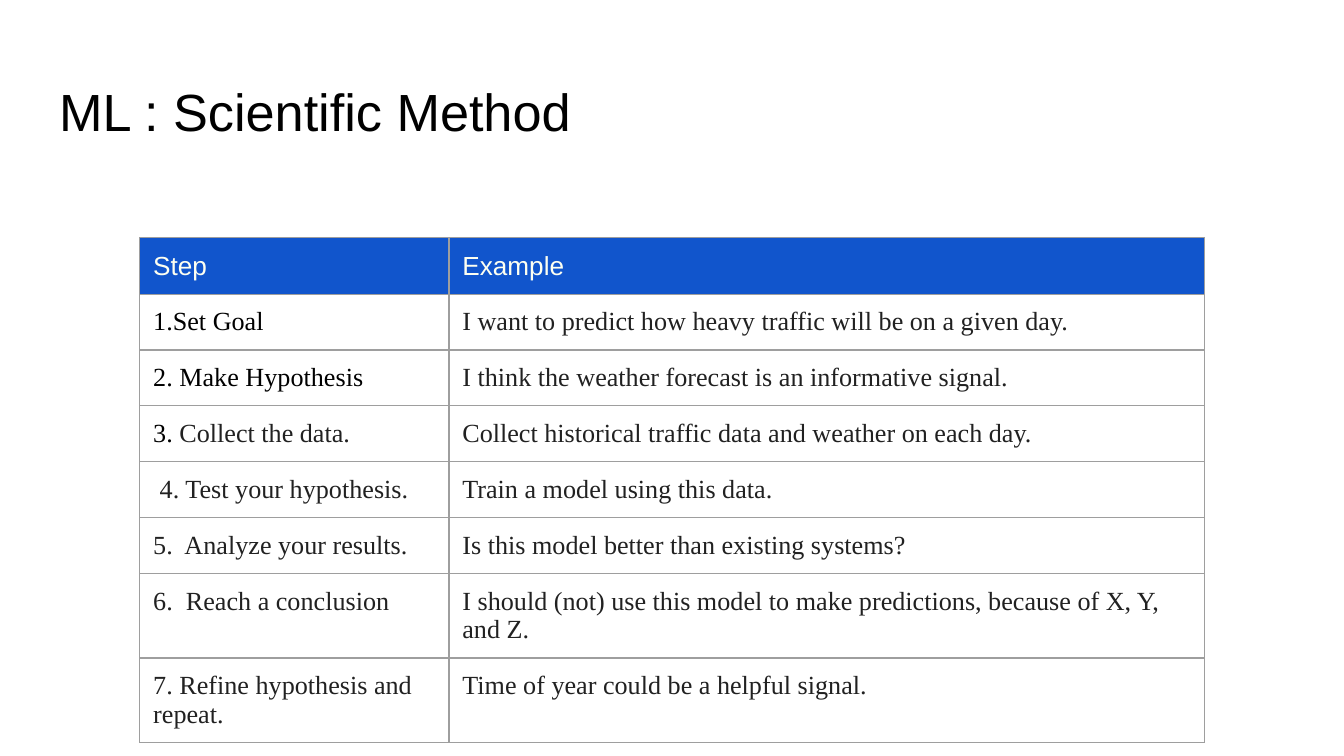
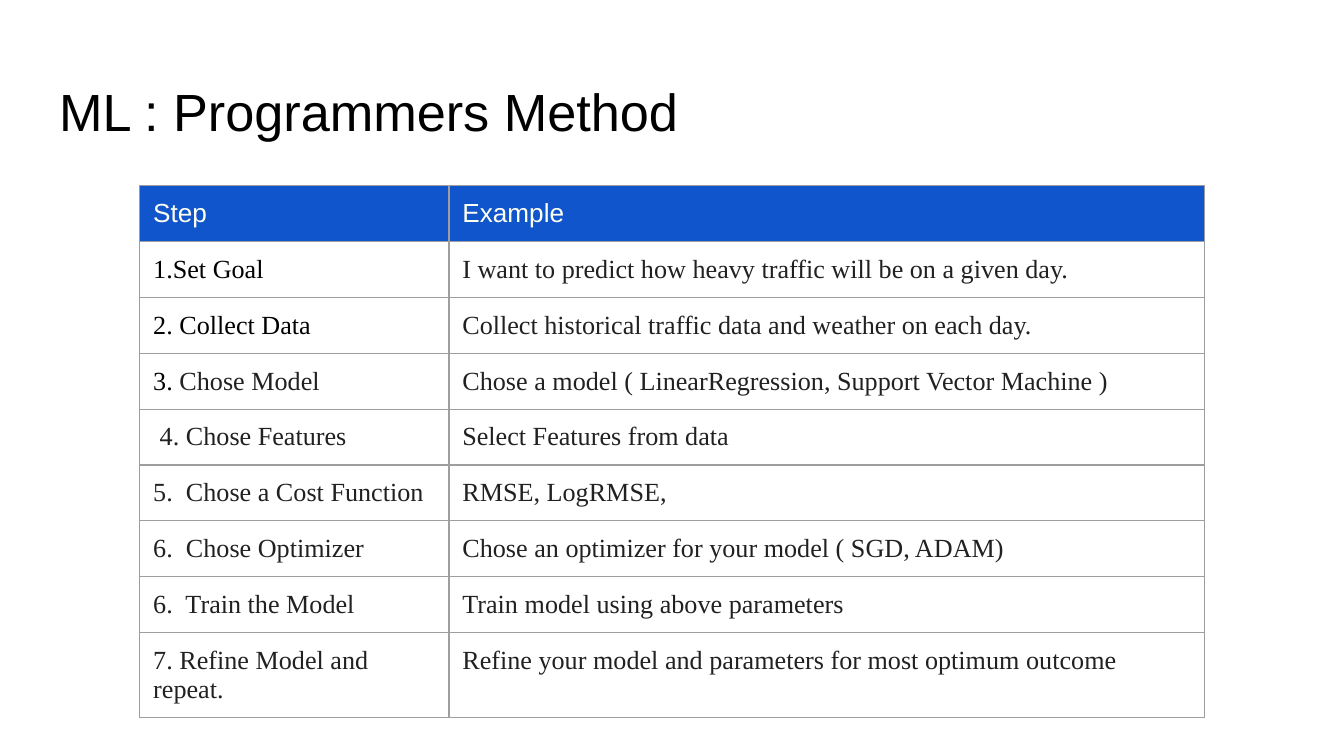
import pptx
import pptx.dml.color
import pptx.enum.text
import pptx.oxml
import pptx.oxml.ns
import pptx.util

Inches = pptx.util.Inches
Pt = pptx.util.Pt
RGBColor = pptx.dml.color.RGBColor

BLACK = RGBColor(0x00, 0x00, 0x00)
BODY_GREY = RGBColor(0x21, 0x21, 0x21)
HEADER_BLUE = RGBColor(0x11, 0x55, 0xCC)
HEADER_TEXT = RGBColor(0xFD, 0xFF, 0xF1)
BORDER_GREY = RGBColor(0x9E, 0x9E, 0x9E)

HEADING_FONT = "Arial"
BODY_FONT = "Times New Roman"
TITLE_BOX = (0.34, 0.49, 9.32, 0.63)
TABLE_LEFT = 1.04
COLUMN_WIDTHS = (2.3, 5.62)
ROW_HEIGHT = 0.4
INSET = 0.1
HEADERS = ("Step", "Example")

SCIENTIFIC_ROWS = [
    ("1.Set Goal", "", "I want to predict how heavy traffic will be on a given day."),
    ("2. Make Hypothesis", "", "I think the weather forecast is an informative signal."),
    ("3. ", "Collect the data.", "Collect historical traffic data and weather on each day."),
    ("", " 4. Test your hypothesis.", "Train a model using this data."),
    ("", "5.  Analyze your results.", "Is this model better than existing systems?"),
    ("", "6.  Reach a conclusion",
     "I should (not) use this model to make predictions, because of X, Y, and Z."),
    ("", "7. Refine hypothesis and repeat.", "Time of year could be a helpful signal."),
]
PROGRAMMERS_ROWS = [
    ("1.Set Goal", "", "I want to predict how heavy traffic will be on a given day."),
    ("2. Collect Data", "", "Collect historical traffic data and weather on each day."),
    ("3. ", "Chose Model", "Chose a model ( LinearRegression, Support Vector Machine )"),
    ("", " 4. Chose Features", "Select Features from data"),
    ("", "5.  Chose a Cost Function", "RMSE, LogRMSE,"),
    ("", "6.  Chose Optimizer", "Chose an optimizer for your model ( SGD, ADAM)"),
    ("", "6.  Train the Model", "Train model using above parameters"),
    ("", "7. Refine Model and repeat.",
     "Refine your model and parameters for most optimum outcome"),
]


def set_insets(target):
    target.margin_left = target.margin_right = Inches(INSET)
    target.margin_top = target.margin_bottom = Inches(INSET)


def add_title(slide, text, box):
    title = slide.shapes.title
    title.left, title.top, title.width, title.height = map(Inches, box)
    frame = title.text_frame
    frame.text = text
    frame.word_wrap = True
    frame.auto_size = pptx.enum.text.MSO_AUTO_SIZE.NONE
    frame.vertical_anchor = pptx.enum.text.MSO_ANCHOR.TOP
    set_insets(frame)
    paragraph = frame.paragraphs[0]
    paragraph.alignment = pptx.enum.text.PP_ALIGN.LEFT
    paragraph.font.name = HEADING_FONT
    paragraph.font.size = Pt(28)
    paragraph.font.color.rgb = BLACK


def set_borders(cell):
    properties = cell._tc.get_or_add_tcPr()
    for side in ("lnL", "lnR", "lnT", "lnB"):
        properties.append(pptx.oxml.parse_xml(
            f'<a:{side} {pptx.oxml.ns.nsdecls("a")} w="{Pt(0.75)}">'
            f'<a:solidFill><a:srgbClr val="{BORDER_GREY}"/></a:solidFill></a:{side}>'))


def fill_cell(cell, parts, font_name, background=None):
    set_insets(cell)
    set_borders(cell)
    if background is None:
        cell.fill.background()
    else:
        cell.fill.solid()
        cell.fill.fore_color.rgb = background
    paragraph = cell.text_frame.paragraphs[0]
    paragraph.font.name = font_name
    paragraph.font.size = Pt(14)
    paragraph.font.bold = False
    for text, color in parts:
        if text:
            run = paragraph.add_run()
            run.text = text
            run.font.color.rgb = color


def add_step_table(slide, rows, left, top):
    row_count = len(rows) + 1
    table = slide.shapes.add_table(
        row_count, len(HEADERS), Inches(left), Inches(top),
        Inches(sum(COLUMN_WIDTHS)), Inches(ROW_HEIGHT * row_count)).table
    table.horz_banding = False
    for column, width in zip(table.columns, COLUMN_WIDTHS):
        column.width = Inches(width)
    for row in table.rows:
        row.height = Inches(ROW_HEIGHT)
    for column_index, header in enumerate(HEADERS):
        fill_cell(table.cell(0, column_index), [(header, HEADER_TEXT)],
                  HEADING_FONT, HEADER_BLUE)
    for row_index, (black_step, grey_step, example) in enumerate(rows, start=1):
        fill_cell(table.cell(row_index, 0),
                  [(black_step, BLACK), (grey_step, BODY_GREY)], BODY_FONT)
        fill_cell(table.cell(row_index, 1), [(example, BODY_GREY)], BODY_FONT)


def add_method_slide(presentation, title, rows, table_top):
    slide = presentation.slides.add_slide(presentation.slide_layouts[5])
    add_title(slide, title, TITLE_BOX)
    add_step_table(slide, rows, TABLE_LEFT, table_top)


def main():
    presentation = pptx.Presentation()
    presentation.slide_width = Inches(10)
    presentation.slide_height = presentation.slide_width * 9 // 16
    add_method_slide(presentation, "ML : Scientific Method", SCIENTIFIC_ROWS, 1.77)
    add_method_slide(presentation, "ML : Programmers Method", PROGRAMMERS_ROWS, 1.38)
    presentation.save("out.pptx")


if __name__ == "__main__":
    main()
